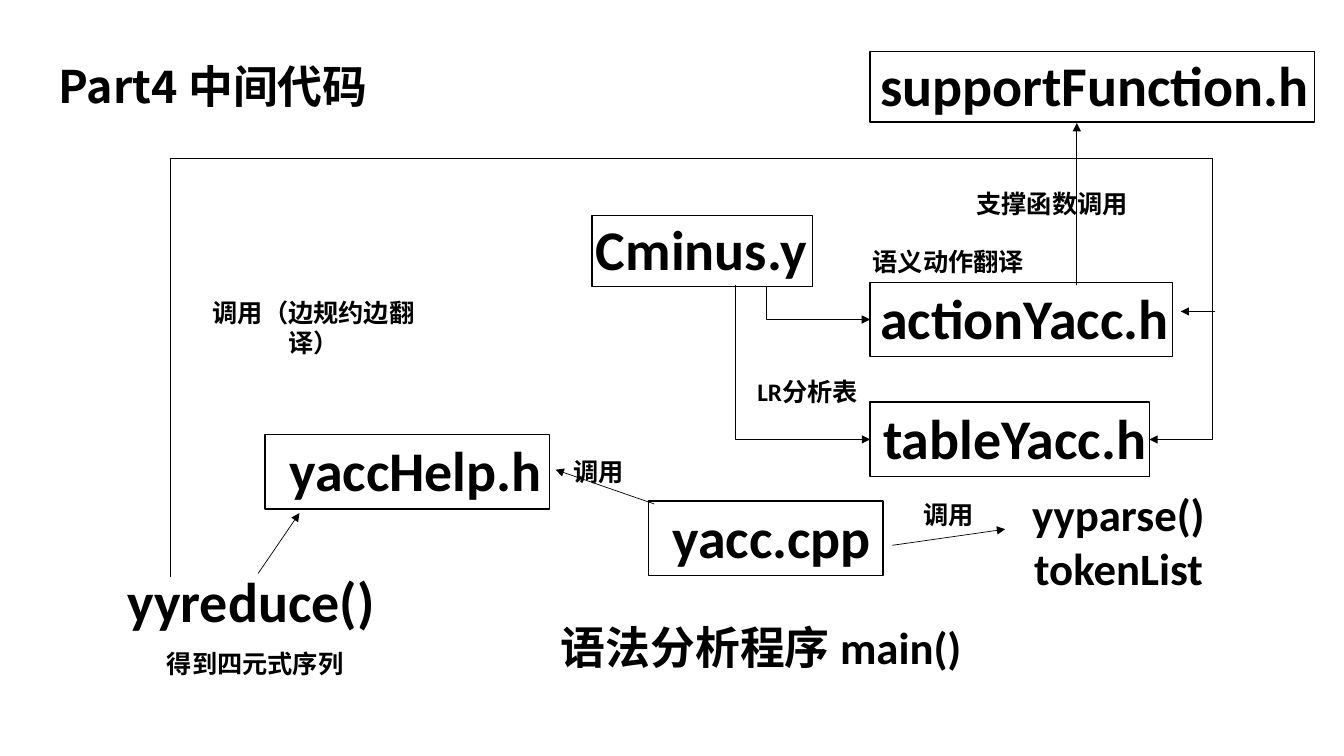
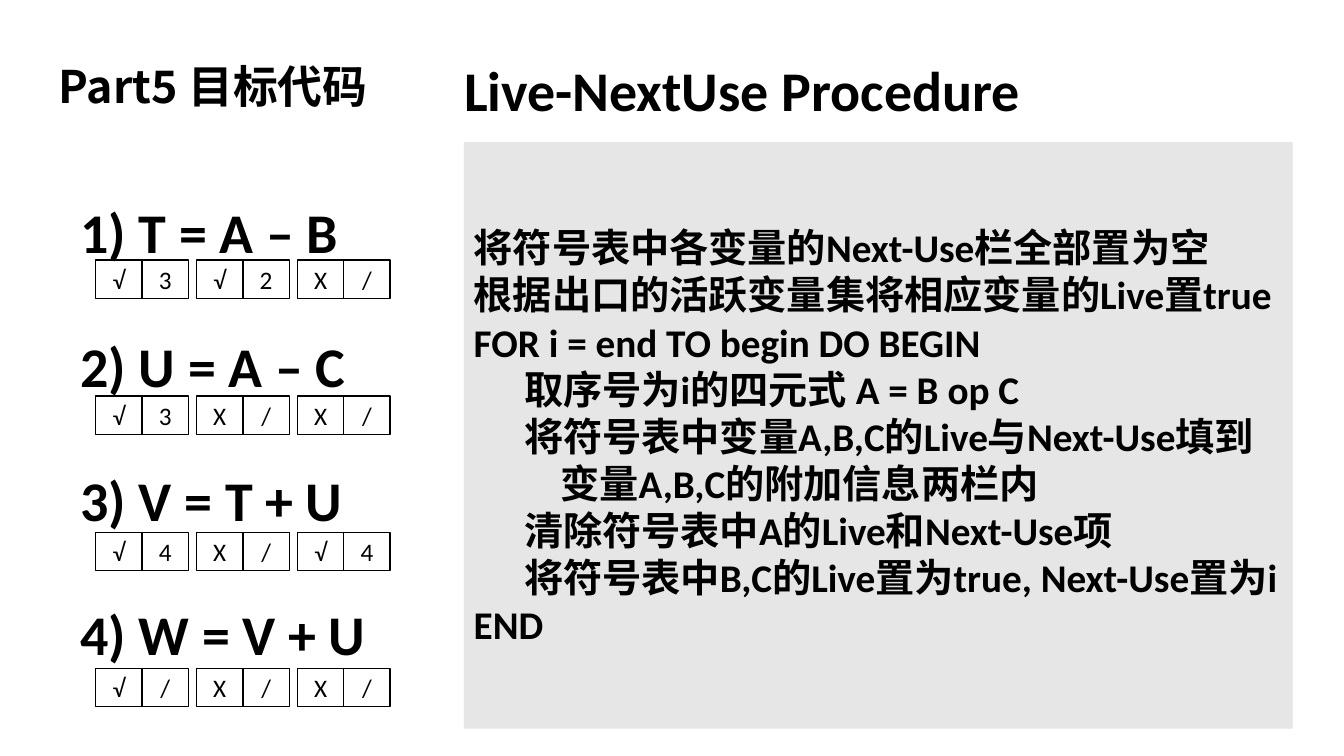
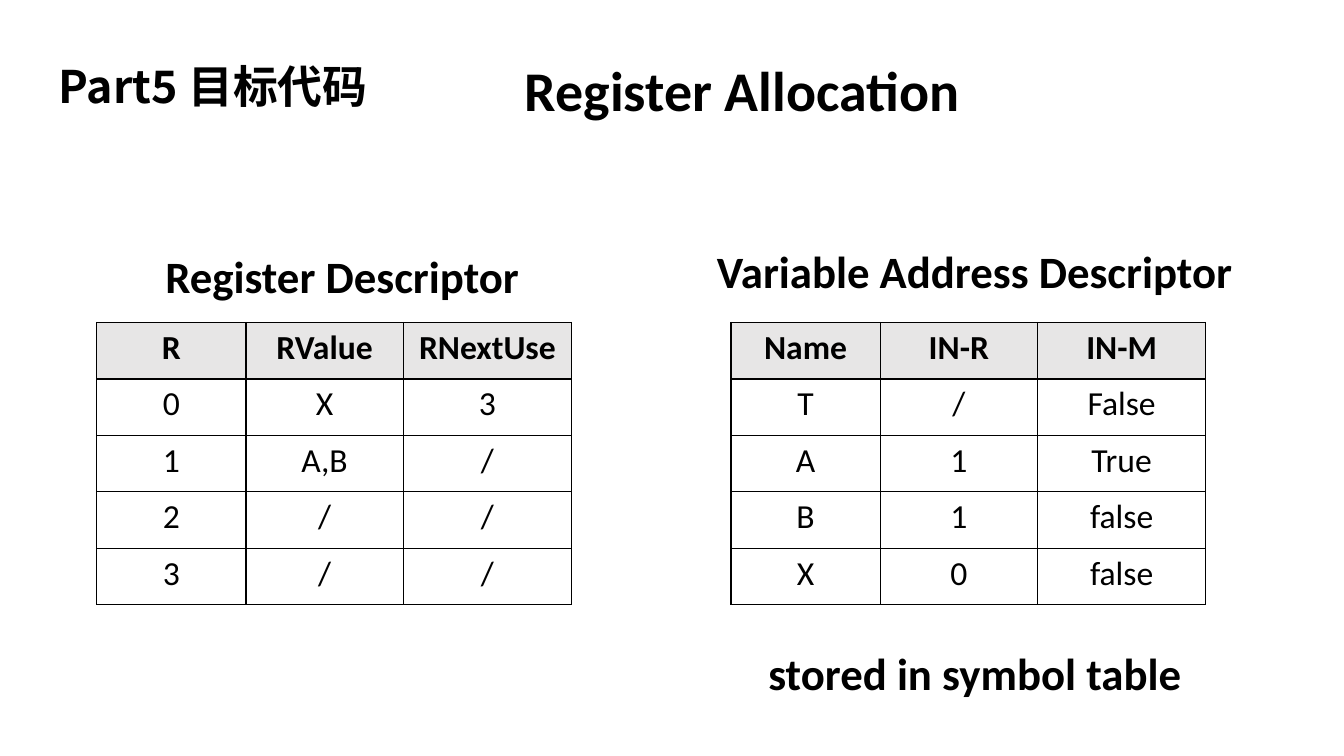
"""Build three compiler-design slides: parser call graph, next-use procedure and register tables."""
from dataclasses import dataclass

from lxml.etree import SubElement
from pptx import Presentation
from pptx.dml.color import RGBColor
from pptx.enum.shapes import MSO_CONNECTOR, MSO_SHAPE
from pptx.enum.text import MSO_ANCHOR, MSO_AUTO_SIZE, PP_ALIGN
from pptx.oxml.ns import qn
from pptx.util import Inches, Pt


@dataclass(frozen=True)
class Theme:
    ink: RGBColor = RGBColor(0, 0, 0)
    panel: RGBColor = RGBColor(0xE7, 0xE6, 0xE6)
    title_font: str = "Noto Sans CJK SC"
    body_font: str = "Calibri"
    large: int = 40
    heading: int = 32
    body: int = 28
    table: int = 24
    small: int = 18
    title_pitch: int = 39
    border: float = 1
    arrow: float = 0.5


@dataclass(frozen=True)
class Label:
    text: str
    left: float
    top: float
    width: float
    height: float
    size: int
    align: PP_ALIGN = PP_ALIGN.CENTER


@dataclass(frozen=True)
class Module:
    name: str
    left: float
    top: float
    width: float
    height: float
    indent: float


@dataclass(frozen=True)
class Link:
    x1: float
    y1: float
    x2: float
    y2: float
    arrow: bool = True
    bend: int | None = None


@dataclass(frozen=True)
class Statement:
    text: str
    info: tuple[str, str, str]


@dataclass(frozen=True)
class Grid:
    left: float
    rows: tuple[tuple[str, ...], ...]


THEME = Theme()

MODULES = (
    Module("Cminus.y", 5.87, 2.14, 2.19, 0.7, 0.04),
    Module("tableYacc.h", 8.63, 3.99, 2.77, 0.74, 0.13),
    Module("actionYacc.h", 8.63, 2.8, 3, 0.74, 0.1),
    Module("yacc.cpp", 6.43, 4.97, 2.33, 0.74, 0.24),
    Module("yaccHelp.h", 2.63, 4.31, 2.82, 0.74, 0.24),
    Module("supportFunction.h", 8.63, 0.51, 4.41, 0.7, 0.1),
)

LINKS = (
    Link(7.89, 2.84, 8.63, 3.17, bend=-39000),
    Link(7.29, 2.83, 8.63, 4.36, bend=0),
    Link(1.69, 5.73, 12.03, 1.57, arrow=False, bend=0),
    Link(12.03, 1.58, 11.4, 4.36, bend=0),
    Link(2.56, 5.69, 2.97, 5.09),
    Link(6.49, 5, 5.51, 4.66),
    Link(12.05, 3.09, 11.71, 3.09),
    Link(8.85, 5.41, 9.97, 5.25),
    Link(10.68, 2.83, 10.68, 1.22),
)

CALL_LABELS = (
    Label("语法分析程序 main()", 5.13, 5.76, 4.84, 1.31, THEME.heading),
    Label("yyparse()\ntokenList", 9.43, 4.87, 3.33, 0.99, THEME.heading),
    Label("yyreduce()", 1.15, 5.57, 2.68, 0.77, THEME.large),
    Label("语义动作翻译", 8.13, 2.36, 2.55, 0.46, THEME.small),
    Label("支撑函数调用", 9.16, 1.79, 2.55, 0.46, THEME.small),
    Label("LR分析表", 7.23, 3.65, 1.56, 0.46, THEME.small),
    Label("调用", 5.46, 4.51, 0.95, 0.33, THEME.small),
    Label("调用", 8.93, 4.94, 0.95, 0.33, THEME.small),
    Label("调用（边规约边翻译）", 1.84, 3.11, 2.54, 0.27, THEME.small),
    Label("得到四元式序列", 1.4, 6.38, 2.26, 0.4, THEME.small),
)

STATEMENTS = (
    Statement("1) T = A – B", ("√3", "√2", "X/")),
    Statement("2) U = A – C", ("√3", "X/", "X/")),
    Statement("3) V = T + U", ("√4", "X/", "√4")),
    Statement("4) W = V + U", ("√/", "X/", "X/")),
)

PROCEDURE = (
    (0, "将符号表中各变量的Next-Use栏全部置为空"),
    (0, "根据出口的活跃变量集将相应变量的Live置true"),
    (0, "FOR i = end TO begin DO BEGIN"),
    (0.5, "取序号为i的四元式 A = B op C"),
    (0.5, "将符号表中变量A,B,C的Live与Next-Use填到"),
    (0.86, "变量A,B,C的附加信息两栏内"),
    (0.5, "清除符号表中A的Live和Next-Use项"),
    (0.5, "将符号表中B,C的Live置为true, Next-Use置为i"),
    (0, "END"),
)

GRIDS = (
    Grid(0.96, (("R", "RValue", "RNextUse"), ("0", "X", "3"), ("1", "A,B", "/"),
                ("2", "/", "/"), ("3", "/", "/"))),
    Grid(7.25, (("Name", "IN-R", "IN-M"), ("T", "/", "False"), ("A", "1", "True"),
                ("B", "1", "false"), ("X", "0", "false"))),
)

TABLE_LABELS = (
    Label("Register Descriptor", 1.47, 2.41, 3.85, 0.64, THEME.heading),
    Label("Variable Address Descriptor", 6.8, 2.22, 5.74, 0.93, THEME.heading),
    Label("stored in symbol table", 6.8, 6.21, 5.74, 0.93, THEME.heading),
)


def style_text(tf, size: int, bold: bool = True, align: PP_ALIGN = PP_ALIGN.LEFT,
               font: str = THEME.body_font) -> None:
    """Apply one type style to every run, for Latin and East Asian text alike."""
    for p in tf.paragraphs:
        p.alignment = align
        for r in p.runs:
            r.font.name, r.font.size, r.font.bold = font, Pt(size), bold
            r.font.color.rgb = THEME.ink
            latin = r.font._element.find(qn("a:latin"))
            ea = latin.makeelement(qn("a:ea"), {"typeface": font})
            latin.addnext(ea)


def set_insets(tf, left: float, top: float, right: float, bottom: float) -> None:
    """Set the four inner margins in inches."""
    tf.margin_left, tf.margin_top = Inches(left), Inches(top)
    tf.margin_right, tf.margin_bottom = Inches(right), Inches(bottom)


def add_titled_slide(prs, title: str):
    """Add a title-only slide with the section name at the upper left."""
    s = prs.slides.add_slide(prs.slide_layouts[5])
    sp = s.shapes.title
    sp.left, sp.top, sp.width, sp.height = (Inches(v) for v in (0.48, 0.51, 3.32, 0.64))
    tf = sp.text_frame
    tf.text = title
    tf.word_wrap, tf.auto_size = True, MSO_AUTO_SIZE.NONE
    tf.vertical_anchor = MSO_ANCHOR.TOP
    set_insets(tf, 0.1, 0.06, 0.14, 0.05)
    style_text(tf, THEME.heading, font=THEME.title_font)
    tf.paragraphs[0].line_spacing = Pt(THEME.title_pitch)
    return s


def add_label(s, label: Label) -> None:
    """Draw bold text centred vertically in its box."""
    sp = s.shapes.add_textbox(Inches(label.left), Inches(label.top),
                              Inches(label.width), Inches(label.height))
    tf = sp.text_frame
    tf.text = label.text
    tf.word_wrap, tf.vertical_anchor = True, MSO_ANCHOR.MIDDLE
    style_text(tf, label.size, align=label.align)


def add_heading(s, text: str) -> None:
    """Draw the large heading of a slide."""
    add_label(s, Label(text, 3.7, 0.17, 7.32, 1.42, THEME.large))


def add_box(s, left: float, top: float, width: float, height: float, filled: bool = False):
    """Draw a rectangle, either outlined or filled, and return its text frame."""
    sp = s.shapes.add_shape(MSO_SHAPE.RECTANGLE, Inches(left), Inches(top),
                            Inches(width), Inches(height))
    sp.shadow.inherit = False
    if filled:
        sp.fill.solid()
        sp.fill.fore_color.rgb = THEME.panel
        sp.line.fill.background()
    else:
        sp.fill.background()
        sp.line.color.rgb = THEME.ink
        sp.line.width = Pt(THEME.border)
    sp.text_frame.vertical_anchor = MSO_ANCHOR.MIDDLE
    return sp.text_frame


def add_module(s, module: Module) -> None:
    """Draw an outlined source file box."""
    tf = add_box(s, module.left, module.top, module.width, module.height)
    tf.text = module.name
    tf.word_wrap = True
    set_insets(tf, module.indent, 0, 0, 0.05)
    style_text(tf, THEME.large)


def add_link(s, link: Link) -> None:
    """Draw a straight or bent connector with an optional arrowhead."""
    kind = MSO_CONNECTOR.STRAIGHT if link.bend is None else MSO_CONNECTOR.ELBOW
    cxn = s.shapes.add_connector(kind, Inches(link.x1), Inches(link.y1),
                                 Inches(link.x2), Inches(link.y2))
    cxn.line.color.rgb = THEME.ink
    cxn.line.width = Pt(THEME.arrow)
    props = cxn._element.spPr
    if link.arrow:
        SubElement(props.find(qn("a:ln")), qn("a:tailEnd"), type="triangle")
    if link.bend is not None:
        guides = props.find(qn("a:prstGeom")).find(qn("a:avLst"))
        SubElement(guides, qn("a:gd"), name="adj1", fmla=f"val {link.bend}")
    SubElement(props, qn("a:effectLst"))


def add_statement(s, index: int, statement: Statement) -> None:
    """Draw a quadruple and the live and next-use cells of its three variables."""
    add_label(s, Label(statement.text, 0.7, 1.95 + 1.33 * index, 3.65, 0.68,
                       THEME.large, PP_ALIGN.LEFT))
    for group, marks in enumerate(statement.info):
        for column, mark in enumerate(marks):
            tf = add_box(s, 0.95 + 1.0 * group + 0.46 * column, 2.58 + 1.35 * index, 0.46, 0.38)
            tf.text = mark
            set_insets(tf, 0, 0, 0, 0)
            style_text(tf, THEME.small, bold=False, align=PP_ALIGN.CENTER)


def add_procedure(s) -> None:
    """Draw the pseudocode panel."""
    tf = add_box(s, 4.6, 1.41, 8.22, 5.82, filled=True)
    tf.word_wrap = True
    tf.text = "\n".join(text for _, text in PROCEDURE)
    style_text(tf, THEME.body)
    for p, (indent, _) in zip(tf.paragraphs, PROCEDURE):
        props = p._p.get_or_add_pPr()
        props.set("marL", str(Inches(indent)))
        props.set("indent", "0")


def add_grid(s, grid: Grid) -> None:
    """Draw a bordered table with a shaded header row."""
    widths = (1.48, 1.56, 1.67)
    row_height = 0.56
    table = s.shapes.add_table(len(grid.rows), len(widths), Inches(grid.left), Inches(3.2),
                               Inches(sum(widths)), Inches(row_height * len(grid.rows))).table
    for column, width in zip(table.columns, widths):
        column.width = Inches(width)
    for i, row in enumerate(grid.rows):
        for j, text in enumerate(row):
            cell = table.cell(i, j)
            cell.text = text
            style_text(cell.text_frame, THEME.table, bold=i == 0, align=PP_ALIGN.CENTER)
            props = cell._tc.get_or_add_tcPr()
            for side in ("a:lnL", "a:lnR", "a:lnT", "a:lnB"):
                ln = SubElement(props, qn(side), w=str(Pt(THEME.border)))
                fill = SubElement(ln, qn("a:solidFill"))
                SubElement(fill, qn("a:srgbClr"), val=str(THEME.ink))
            if i == 0:
                cell.fill.solid()
                cell.fill.fore_color.rgb = THEME.panel
            else:
                cell.fill.background()


def build_call_graph(prs) -> None:
    """Build the slide on intermediate code."""
    s = add_titled_slide(prs, "Part4 中间代码")
    for module in MODULES:
        add_module(s, module)
    for link in LINKS:
        add_link(s, link)
    for label in CALL_LABELS:
        add_label(s, label)


def build_next_use(prs) -> None:
    """Build the slide on the live and next-use procedure."""
    s = add_titled_slide(prs, "Part5 目标代码")
    add_heading(s, "Live-NextUse Procedure")
    for index, statement in enumerate(STATEMENTS):
        add_statement(s, index, statement)
    add_procedure(s)


def build_registers(prs) -> None:
    """Build the slide on register allocation."""
    s = add_titled_slide(prs, "Part5 目标代码")
    add_heading(s, "Register Allocation")
    for grid in GRIDS:
        add_grid(s, grid)
    for label in TABLE_LABELS:
        add_label(s, label)


def main() -> None:
    """Build and save the presentation."""
    prs = Presentation()
    prs.slide_width, prs.slide_height = Inches(13.33), Inches(7.5)
    build_call_graph(prs)
    build_next_use(prs)
    build_registers(prs)
    prs.save("out.pptx")


if __name__ == "__main__":
    main()
